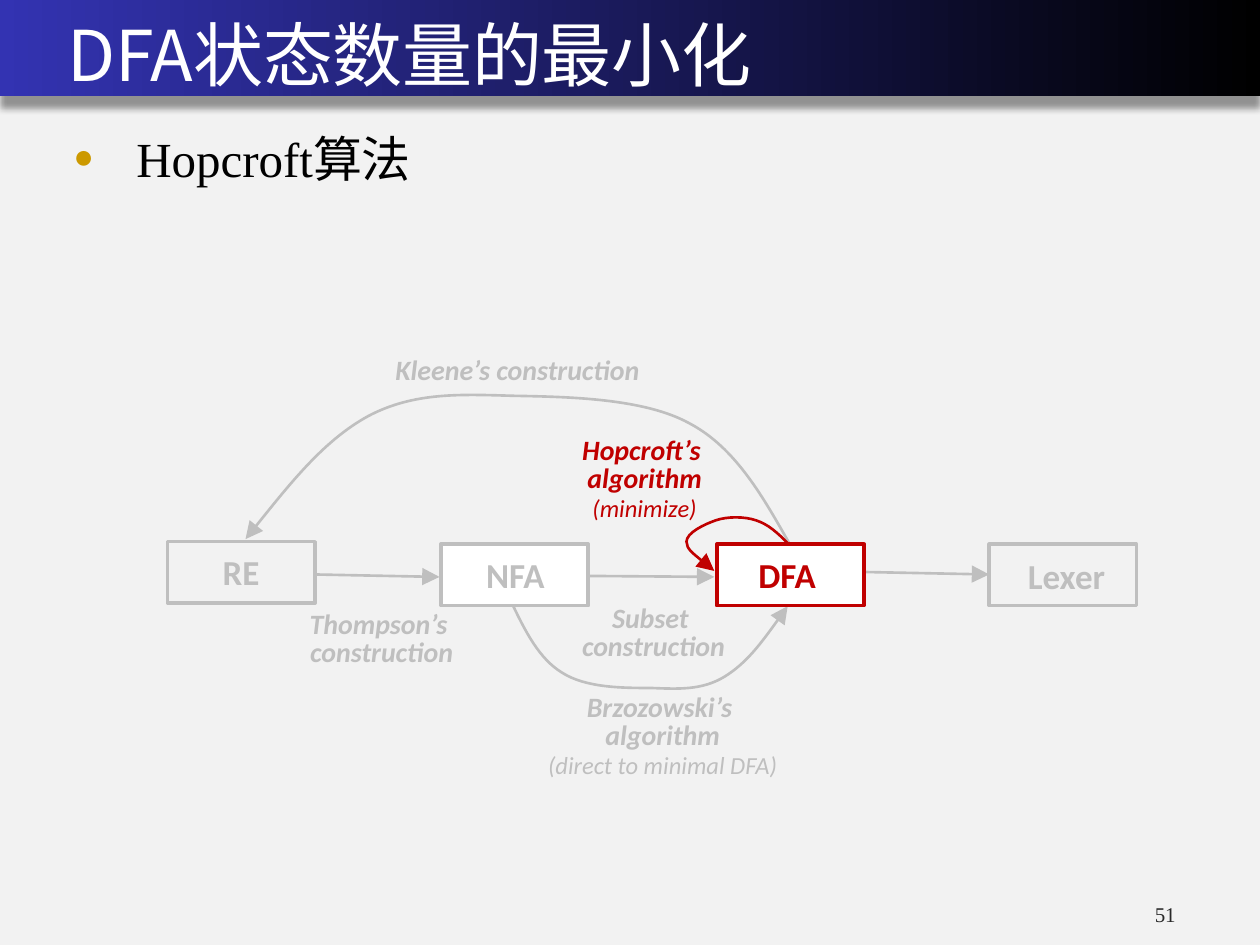
from lxml import etree
from pptx import Presentation
from pptx import util as u
from pptx.dml.color import RGBColor
from pptx.enum import shapes, text
from pptx.oxml import ns

COLORS = {
    "background": "F2F2F2", "banner_dark": "000000", "banner_blue": "3333B2",
    "title": "FFFFFF", "body": "000000", "bullet": "CC9900", "number": "292929",
    "muted": "BFBFBF", "active": "C00000", "box": "FFFFFF",
}
SANS, SERIF, CHINESE = "Calibri", "Times New Roman", "Noto Sans CJK SC"
BOX_WIDTH, BOX_HEIGHT = 2.97, 1.24
LABEL_MARGINS = (0.25, 0.13, 0.25, 0.13)


def color(name):
    return RGBColor.from_string(COLORS[name])


def add_xml(parent, tag, **attributes):
    element = etree.SubElement(parent, ns.qn(tag))
    for key, value in attributes.items():
        element.set(key, str(value))
    return element


def add_run(paragraph, words, size, font, color_name, bold=False, italic=False):
    run = paragraph.add_run()
    run.text = words
    run.font.size = u.Pt(size)
    run.font.name = font
    run.font.bold, run.font.italic = bold, italic
    run.font.color.rgb = color(color_name)
    add_xml(run._r.get_or_add_rPr(), "a:ea", typeface=CHINESE)
    return run


def set_frame(frame, margins, wrap=True):
    frame.word_wrap = wrap
    frame.auto_size = text.MSO_AUTO_SIZE.NONE
    frame.vertical_anchor = text.MSO_ANCHOR.TOP
    (frame.margin_left, frame.margin_top,
     frame.margin_right, frame.margin_bottom) = [u.Cm(m) for m in margins]


def add_text_box(slide, place, margins, wrap=True):
    shape = slide.shapes.add_textbox(*[u.Cm(v) for v in place])
    set_frame(shape.text_frame, margins, wrap)
    return shape


def add_banner(slide, width):
    banner = slide.shapes.add_shape(
        shapes.MSO_SHAPE.RECTANGLE, 0, 0, width, u.Cm(1.93))
    banner.line.fill.background()
    banner.fill.gradient()
    banner.fill.gradient_angle = 180
    for stop, name in zip(banner.fill.gradient_stops, ("banner_dark", "banner_blue")):
        stop.color.rgb = color(name)
    # Soft shadow below the banner
    banner.shadow.inherit = False
    effects = banner._element.spPr.find(ns.qn("a:effectLst"))
    shadow = add_xml(effects, "a:outerShdw", blurRad=u.Pt(4), dist=u.Pt(7),
                     dir=5400000, algn="t", rotWithShape=0)
    add_xml(add_xml(shadow, "a:srgbClr", val="000000"), "a:alpha", val=40000)


def add_title(slide, words):
    title = slide.shapes.title
    title.left, title.top, title.width, title.height = [
        u.Cm(v) for v in (1.32, 0.2, 22.81, 1.75)]
    set_frame(title.text_frame, (0.04, 0.04, 0, 0))
    paragraph = title.text_frame.paragraphs[0]
    paragraph.alignment = text.PP_ALIGN.LEFT
    run = add_run(paragraph, words, 40, CHINESE, "title")
    run._r.get_or_add_rPr().set("spc", "-10")
    # Draw the title above the banner
    slide.shapes._spTree.append(title._element)


def add_bullet(slide, words):
    box = add_text_box(slide, (1.45, 2.24, 18.62, 1.47), (0, 0.26, 0, 0))
    paragraph = box.text_frame.paragraphs[0]
    paragraph.line_spacing = u.Pt(36)
    properties = paragraph._p.get_or_add_pPr()
    properties.set("marL", str(u.Cm(1.3)))
    properties.set("indent", str(u.Cm(-1.27)))
    add_xml(add_xml(properties, "a:buClr"), "a:srgbClr", val=COLORS["bullet"])
    add_xml(properties, "a:buSzPct", val=70000)
    add_xml(properties, "a:buFont", typeface=SERIF)
    add_xml(properties, "a:buChar", char="●")
    add_run(paragraph, words, 28, SERIF, "body")


def add_page_number(slide, words):
    box = add_text_box(slide, (23.16, 18.26, 1.9, 0.43), (0.12, 0, 0, 0))
    paragraph = box.text_frame.paragraphs[0]
    paragraph.line_spacing = u.Pt(12.2)
    add_run(paragraph, words, 12, SERIF, "number")


def add_state(slide, words, corner, label_place, color_name="muted", filled=False):
    box = slide.shapes.add_shape(
        shapes.MSO_SHAPE.RECTANGLE,
        *[u.Cm(v) for v in corner + (BOX_WIDTH, BOX_HEIGHT)])
    box.shadow.inherit = False
    if filled:
        box.fill.solid()
        box.fill.fore_color.rgb = color("box")
    else:
        box.fill.background()
    box.line.color.rgb = color(color_name)
    box.line.width = u.Pt(2)
    label = add_text_box(slide, label_place, LABEL_MARGINS, wrap=False)
    add_run(label.text_frame.paragraphs[0], words, 20, SANS, color_name, bold=True)


def add_label(slide, place, lines, color_name="muted", note=None):
    frame = add_text_box(slide, place, LABEL_MARGINS, wrap=False).text_frame
    entries = [(line, 16, True) for line in lines]
    if note:
        entries.append((note, 14, False))
    for index, (words, size, bold) in enumerate(entries):
        paragraph = frame.add_paragraph() if index else frame.paragraphs[0]
        if len(entries) > 1:
            paragraph.alignment = text.PP_ALIGN.CENTER
            paragraph.line_spacing = u.Pt(16)
        add_run(paragraph, words, size, SANS, color_name, bold, italic=True)


def style_arrow(shape, color_name):
    shape.line.color.rgb = color(color_name)
    shape.line.width = u.Pt(1.5)
    add_xml(shape.line._get_or_add_ln(), "a:tailEnd",
            type="triangle", w="lg", len="lg")


def add_arrow(slide, start, end):
    arrow = slide.shapes.add_connector(
        shapes.MSO_CONNECTOR.STRAIGHT, *[u.Cm(v) for v in start + end])
    style_arrow(arrow, "muted")
    add_xml(arrow._element.spPr, "a:effectLst")


def add_curve(slide, points, color_name="muted"):
    """Draw cubic curves; each takes two control points and an end point."""
    start, *others = [tuple(u.Cm(v) for v in point) for point in points]
    builder = slide.shapes.build_freeform(*start)
    builder.add_line_segments(others, close=False)
    curve = builder.convert_to_shape()
    # Join every three line segments into one cubic curve
    segments = list(curve._element.iter(ns.qn("a:lnTo")))
    outline = segments[0].getparent()
    for first in range(0, len(segments), 3):
        cubic = add_xml(outline, "a:cubicBezTo")
        for segment in segments[first:first + 3]:
            cubic.append(segment[0])
            outline.remove(segment)
    curve.shadow.inherit = False
    curve.fill.background()
    style_arrow(curve, color_name)


def main():
    presentation = Presentation()
    presentation.slide_width, presentation.slide_height = u.Cm(25.4), u.Cm(19.05)
    slide = presentation.slides.add_slide(presentation.slide_layouts[5])
    slide.background.fill.solid()
    slide.background.fill.fore_color.rgb = color("background")

    # Banner, page number, bullet and title
    add_banner(slide, presentation.slide_width)
    add_page_number(slide, "51")
    add_bullet(slide, "Hopcroft算法")
    add_title(slide, "DFA状态数量的最小化")

    # Outer states
    add_state(slide, "RE", (3.38, 10.92), (4.24, 10.97, 1.27, 1.12))
    add_state(slide, "Lexer", (19.94, 10.97), (20.47, 11.05, 2.08, 1.12))

    # Brzozowski's curve and the straight steps
    add_curve(slide, [
        (10.31, 12.14), (10.59, 12.73), (10.87, 13.28), (11.33, 13.56),
        (11.81, 13.87), (12.57, 13.87), (13.13, 13.87), (13.67, 13.89),
        (14.15, 13.92), (14.61, 13.64), (15.06, 13.36), (15.47, 12.8),
        (15.88, 12.22)])
    for start, end in (((6.32, 11.58), (8.86, 11.63)),
                       ((11.86, 11.61), (14.4, 11.63)),
                       ((17.4, 11.53), (19.94, 11.58))):
        add_arrow(slide, start, end)

    # Labels of the constructions
    add_label(slide, (7.72, 6.98, 5.51, 0.94), ["Kleene’s construction"])
    add_label(slide, (5.97, 12.22, 3.45, 1.4), ["Thompson’s ", "construction"])
    add_label(slide, (11.46, 12.09, 3.43, 1.4), ["Subset ", "construction"])
    add_label(slide, (11.38, 8.71, 3.23, 1.98), ["Hopcroft’s ", "algorithm"],
              "active", "(minimize)")
    add_label(slide, (10.77, 13.89, 5.18, 1.96), ["Brzozowski’s ", "algorithm"],
              note="(direct to minimal DFA)")

    # Kleene's and Hopcroft's curves
    add_curve(slide, [
        (15.95, 11.02), (15.39, 10.03), (14.83, 9.02), (13.89, 8.53),
        (12.98, 8.03), (11.46, 8), (10.36, 7.98), (9.3, 7.95),
        (8.36, 7.9), (7.44, 8.38), (6.55, 8.86), (5.74, 9.88),
        (4.95, 10.87)])
    add_curve(slide, [
        (15.88, 10.95), (15.67, 10.74), (15.49, 10.57), (15.24, 10.49),
        (15.01, 10.41), (14.66, 10.41), (14.43, 10.49), (14.2, 10.57),
        (13.84, 10.74), (13.84, 10.92), (13.84, 11.07), (14.12, 11.28),
        (14.4, 11.51)], "active")

    # Inner states
    add_state(slide, "NFA", (8.89, 10.97), (9.55, 11.02, 1.7, 1.12), filled=True)
    add_state(slide, "DFA", (14.45, 10.97), (15.04, 11.02, 1.68, 1.12),
              "active", filled=True)

    presentation.save("out.pptx")


if __name__ == "__main__":
    main()
